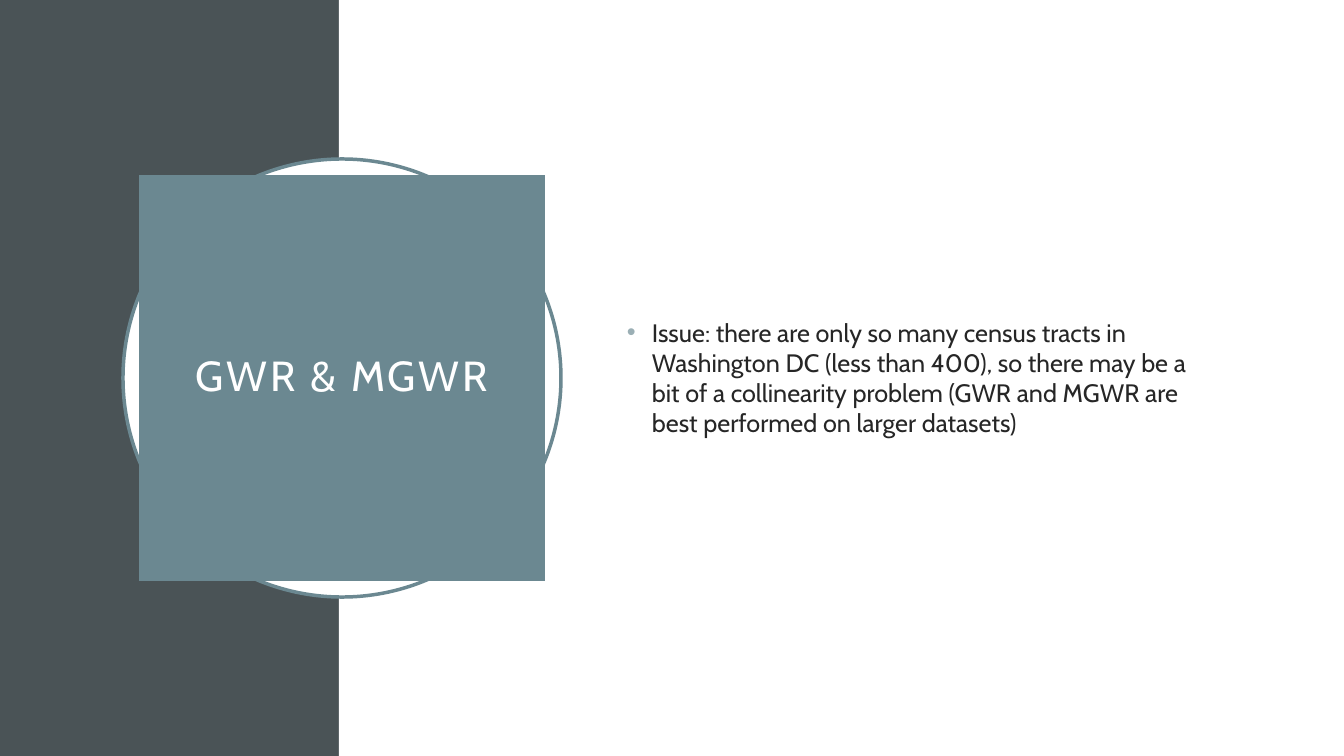
from lxml import etree
from pptx import Presentation
from pptx import util as u
from pptx.dml.color import RGBColor
from pptx.enum import shapes, text
from pptx.oxml.ns import qn

PX = 914400 / 100.8
SLIDE_W, SLIDE_H = 1344, 756
BAND_W = 339
FONT = "Cabin"
COLORS = {
    "band": "4A5356",
    "white": "FFFFFF",
    "accent": "6B8891",
    "bullet": "9BAFB5",
    "body": "262626",
}


def px(length):
    return u.Emu(round(length * PX))


def rgb(name):
    return RGBColor.from_string(COLORS[name])


def add_panel(slide, kind, box, fill, outline=None):
    panel = slide.shapes.add_shape(kind, *map(px, box))
    panel.shadow.inherit = False
    panel.fill.solid()
    panel.fill.fore_color.rgb = rgb(fill)
    if outline:
        panel.line.color.rgb = rgb(outline)
        panel.line.width = u.Pt(2.5)
    else:
        panel.line.fill.background()
    return panel


def write(frame, words, size, color):
    """Put one vertically centred, wrapping paragraph in the frame."""
    frame.word_wrap = True
    frame.vertical_anchor = text.MSO_ANCHOR.MIDDLE
    paragraph = frame.paragraphs[0]
    paragraph.text = words
    paragraph.font.name = FONT
    paragraph.font.size = u.Pt(size)
    paragraph.font.color.rgb = rgb(color)
    return paragraph


def add_title(slide, box, words):
    tile = add_panel(slide, shapes.MSO_SHAPE.RECTANGLE, box, "accent")
    frame = tile.text_frame
    frame.margin_left = frame.margin_right = px(20)
    frame.margin_top = frame.margin_bottom = px(20)
    heading = write(frame, words, 30, "white")
    heading.alignment = text.PP_ALIGN.CENTER
    heading.line_spacing = 0.9
    heading.runs[0].font._element.set("spc", "200")


def add_bullet(paragraph, indent):
    """Hang the paragraph behind a coloured bullet."""
    props = paragraph._p.get_or_add_pPr()
    props.set("marL", str(px(indent)))
    props.set("indent", str(-px(indent)))
    tint = etree.Element(qn("a:buClr"))
    etree.SubElement(tint, qn("a:srgbClr"), val=COLORS["bullet"])
    face = etree.Element(qn("a:buFont"), typeface="Arial")
    mark = etree.Element(qn("a:buChar"), char="•")
    run_defaults = props.find(qn("a:defRPr"))
    for part in (tint, face, mark):
        run_defaults.addprevious(part)


def add_body(slide, box, words):
    body = slide.shapes.add_textbox(*map(px, box))
    issue = write(body.text_frame, words, 18, "body")
    issue.space_before = u.Pt(10)
    add_bullet(issue, 25)


def main():
    deck = Presentation()
    deck.slide_width, deck.slide_height = px(SLIDE_W), px(SLIDE_H)
    slide = deck.slides.add_slide(deck.slide_layouts[6])

    rectangle, oval = shapes.MSO_SHAPE.RECTANGLE, shapes.MSO_SHAPE.OVAL
    add_panel(slide, rectangle, (0, 0, BAND_W, SLIDE_H), "band")
    add_panel(slide, rectangle, (BAND_W, 0, SLIDE_W - BAND_W, SLIDE_H), "white")
    add_panel(slide, oval, (123, 159, 438, 438), "white", "accent")
    add_title(slide, (139, 175, 406, 406), "GWR & MGWR")
    add_body(
        slide,
        (617, 154, 587, 447),
        "Issue: there are only so many census tracts in Washington DC "
        "(less than 400), so there may be a bit of a collinearity problem "
        "(GWR and MGWR are best performed on larger datasets)",
    )
    deck.save("out.pptx")


if __name__ == "__main__":
    main()
